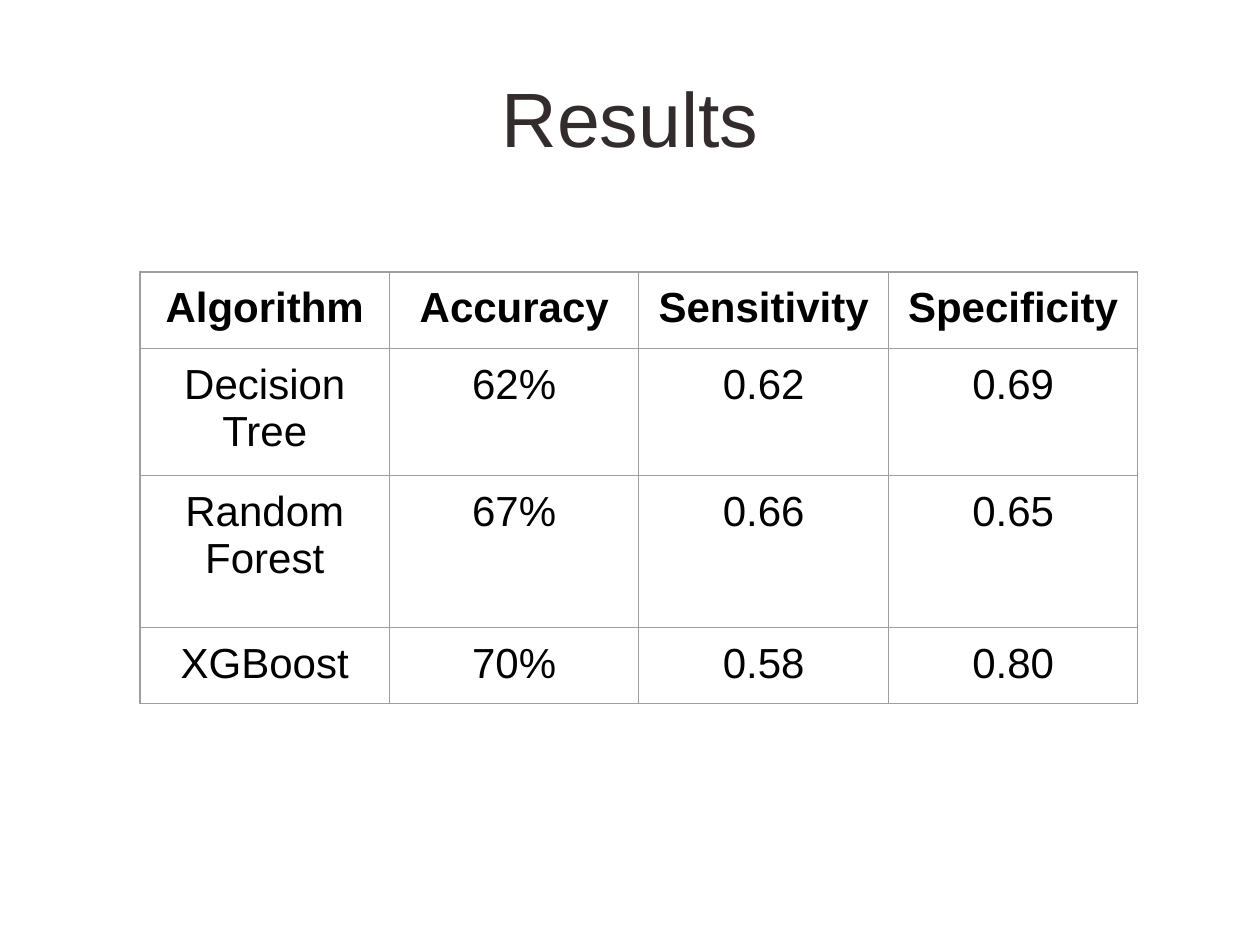
from typing import NamedTuple

from lxml.etree import SubElement
from pptx import Presentation
from pptx.dml.color import RGBColor
from pptx.enum.text import MSO_ANCHOR, PP_ALIGN
from pptx.oxml.ns import qn
from pptx.util import Emu, Pt

PIXELS_PER_INCH = 126
FONT = "Arial"
TITLE_COLOR = RGBColor(0x33, 0x2C, 0x2C)
TEXT_COLOR = RGBColor(0x00, 0x00, 0x00)
BORDER_COLOR = RGBColor(0x9E, 0x9E, 0x9E)
BORDER_WIDTH = Pt(0.75)
TABLE_WIDTH = 998
INSET = 13


class ResultRow(NamedTuple):
    """One table row: its height in pixels, its cell texts and its weight."""
    height: int
    texts: tuple[str, ...]
    bold: bool = False


RESULT_ROWS = (
    ResultRow(72, ("Algorithm", "Accuracy", "Sensitivity", "Specificity"), bold=True),
    ResultRow(119, ("Decision Tree", "62%", "0.62", "0.69")),
    ResultRow(152, ("Random Forest", "67%", "0.66", "0.65")),
    ResultRow(72, ("XGBoost", "70%", "0.58", "0.80")),
)


def pixels(length: float) -> Emu:
    """Turn a length in pixels into EMU."""
    return Emu(round(length * 914400 / PIXELS_PER_INCH))


def set_margins(target) -> None:
    """Give a text frame or a cell the same inset on all sides."""
    for side in ("left", "right", "top", "bottom"):
        setattr(target, f"margin_{side}", pixels(INSET))


def write_text(text_frame, text: str, *, size: float, color: RGBColor,
               bold: bool = False) -> None:
    """Write one centred, formatted paragraph."""
    paragraph = text_frame.paragraphs[0]
    paragraph.alignment = PP_ALIGN.CENTER
    run = paragraph.add_run()
    run.text = text
    run.font.name = FONT
    run.font.size = Pt(size)
    run.font.bold = bold
    run.font.color.rgb = color


def add_title(slide, text: str) -> None:
    """Add the slide heading."""
    shape = slide.shapes.add_textbox(pixels(63), pixels(38), pixels(1134), pixels(158))
    text_frame = shape.text_frame
    text_frame.word_wrap = True
    text_frame.vertical_anchor = MSO_ANCHOR.MIDDLE
    set_margins(text_frame)
    write_text(text_frame, text, size=44, color=TITLE_COLOR)


def set_borders(cell) -> None:
    """Draw a thin line on each side of a cell."""
    properties = cell._tc.get_or_add_tcPr()
    for side in ("lnL", "lnR", "lnT", "lnB"):
        line = SubElement(properties, qn(f"a:{side}"), w=str(BORDER_WIDTH))
        fill = SubElement(line, qn("a:solidFill"))
        SubElement(fill, qn("a:srgbClr"), val=str(BORDER_COLOR))


def add_results_table(slide, rows: tuple[ResultRow, ...]) -> None:
    """Add the table with equal columns."""
    column_count = len(rows[0].texts)
    height = sum(row.height for row in rows)
    table = slide.shapes.add_table(
        len(rows), column_count, pixels(140), pixels(272),
        pixels(TABLE_WIDTH), pixels(height)).table
    table.first_row = False
    table.horz_banding = False
    for column in table.columns:
        column.width = pixels(TABLE_WIDTH / column_count)
    for row_index, row in enumerate(rows):
        table.rows[row_index].height = pixels(row.height)
        for column_index, text in enumerate(row.texts):
            cell = table.cell(row_index, column_index)
            set_margins(cell)
            set_borders(cell)
            cell.fill.background()
            write_text(cell.text_frame, text, size=24, color=TEXT_COLOR, bold=row.bold)


def main() -> None:
    """Build and save the slide."""
    presentation = Presentation()
    presentation.slide_width = pixels(1260)
    presentation.slide_height = pixels(945)
    slide = presentation.slides.add_slide(presentation.slide_layouts[6])
    add_title(slide, "Results")
    add_results_table(slide, RESULT_ROWS)
    presentation.save("out.pptx")


main()
